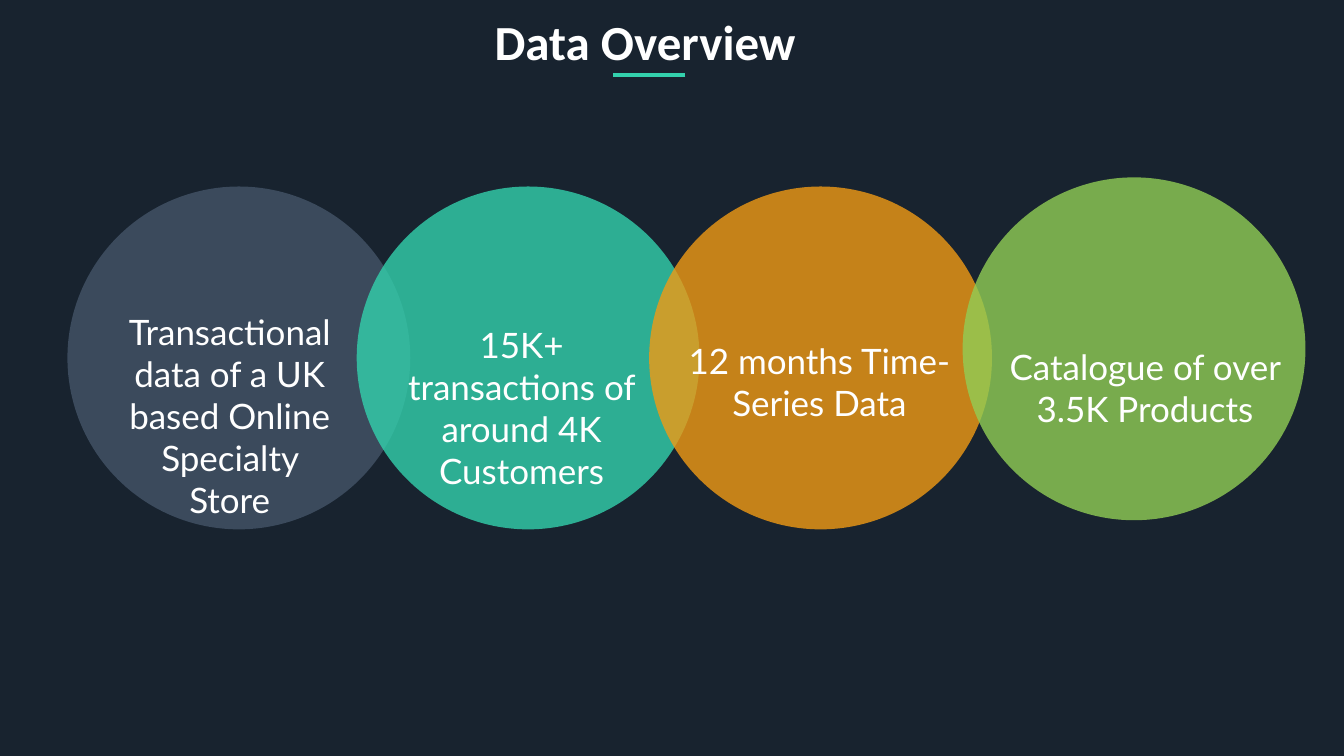
from pptx import Presentation
from pptx.dml.color import RGBColor
from pptx.enum.shapes import MSO_CONNECTOR, MSO_SHAPE
from pptx.enum.text import MSO_ANCHOR as ANCHOR, MSO_AUTO_SIZE as FIT, PP_ALIGN as ALIGN
from pptx.oxml.ns import qn
from pptx.util import Cm, Pt
from lxml.etree import SubElement

NAVY = RGBColor(0x18, 0x23, 0x2F)
SLATE = RGBColor(0x44, 0x54, 0x68)
TEAL = RGBColor(0x33, 0xD1, 0xAD)
ORANGE = RGBColor(0xF1, 0x9A, 0x14)
GREEN = RGBColor(0x91, 0xCE, 0x55)
WHITE = RGBColor(0xFF, 0xFF, 0xFF)

DIAMETER = 8.64
CIRCLES = [
    (1.7, 4.7, SLATE),
    (8.99, 4.7, TEAL),
    (16.36, 4.7, ORANGE),
    (24.26, 4.47, GREEN),
]
FACTS = [
    ("Transactional data of a UK based Online Specialty Store", (2.74, 7.65, 6.1, 5.69)),
    ("15K+ transactions of around 4K Customers", (9.55, 7.98, 7.19, 4.62)),
    ("12 months Time-Series Data", (16.56, 8.38, 8.18, 3.56)),
    ("Catalogue of over 3.5K Products", (24.84, 8.53, 8.03, 3.56)),
]
TITLE_FONT = {"name": "Calibri", "size": Pt(35), "bold": True}
FACT_FONT = {"name": "Lato", "size": Pt(25)}
TITLE_FRAME = {"word_wrap": False, "auto_size": FIT.SHAPE_TO_FIT_TEXT,
               "vertical_anchor": ANCHOR.MIDDLE}
FACT_FRAME = {"word_wrap": True, "auto_size": FIT.SHAPE_TO_FIT_TEXT,
              "vertical_anchor": ANCHOR.TOP,
              "margin_left": Cm(0.33), "margin_right": Cm(0.33),
              "margin_top": Cm(0.18), "margin_bottom": Cm(0.18)}


def apply(target, values):
    for name, value in values.items():
        setattr(target, name, value)


def write(sp, text, frame, font):
    tf = sp.text_frame
    apply(tf, frame)
    p = tf.paragraphs[0]
    p.alignment = ALIGN.CENTER
    r = p.add_run()
    r.text = text
    apply(r.font, font)
    r.font.color.rgb = WHITE
    return p


def add_filled(s, kind, box, color, alpha=None):
    sp = s.shapes.add_shape(kind, *map(Cm, box))
    sp.shadow.inherit = False
    sp.fill.solid()
    sp.fill.fore_color.rgb = color
    sp.line.fill.background()
    if alpha is not None:
        clr = sp._element.spPr.find(qn("a:solidFill"))[0]
        SubElement(clr, qn("a:alpha")).set("val", str(alpha * 1000))
    return sp


def add_backdrop(s):
    sp = add_filled(s, MSO_SHAPE.RECTANGLE, (0, 0, 33.87, 19.05), NAVY)
    s.shapes._spTree.insert(2, sp._element)


def set_title(s, text):
    sp = s.shapes.title
    apply(sp, {"left": Cm(12.17), "top": Cm(0.33), "width": Cm(8.18), "height": Cm(1.6)})
    write(sp, text, TITLE_FRAME, TITLE_FONT).line_spacing = 0.9


def add_fact(s, text, box):
    write(s.shapes.add_textbox(*map(Cm, box)), text, FACT_FRAME, FACT_FONT)


def add_underline(s):
    line = s.shapes.add_connector(MSO_CONNECTOR.STRAIGHT, Cm(17.27), Cm(1.88), Cm(15.44), Cm(1.88))
    line.line.color.rgb = TEAL
    line.line.width = Pt(3)
    SubElement(line._element.spPr, qn("a:effectLst"))


def main():
    prs = Presentation()
    prs.slide_width, prs.slide_height = Cm(33.87), Cm(19.05)
    s = prs.slides.add_slide(prs.slide_layouts[5])
    add_backdrop(s)
    set_title(s, "Data Overview")
    for left, top, color in CIRCLES:
        add_filled(s, MSO_SHAPE.OVAL, (left, top, DIAMETER, DIAMETER), color, alpha=80)
    for text, box in FACTS:
        add_fact(s, text, box)
    add_underline(s)
    prs.save("out.pptx")


if __name__ == "__main__":
    main()
